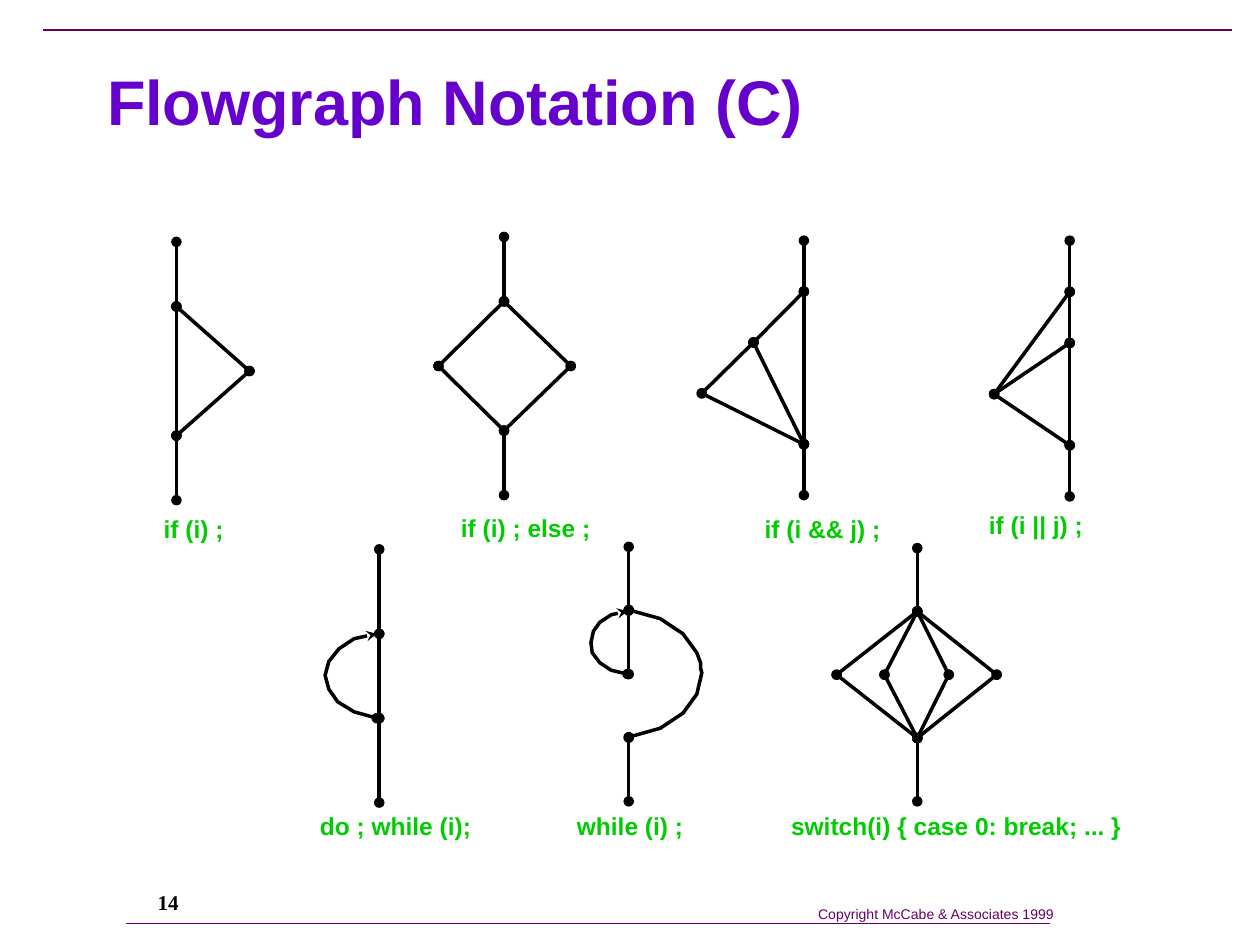
from itertools import pairwise

from lxml.etree import SubElement
from pptx import Presentation
from pptx.dml.color import RGBColor
from pptx.enum.shapes import MSO_CONNECTOR
from pptx.enum.text import MSO_ANCHOR, MSO_AUTO_SIZE, PP_ALIGN
from pptx.oxml.ns import qn
from pptx.util import Pt

PX = 9144  # EMU in one px, 100 px to the inch
PURPLE = RGBColor(0x66, 0x00, 0xCC)
PLUM = RGBColor(0x66, 0x00, 0x66)
GREEN = RGBColor(0x00, 0xCC, 0x00)
BLACK = RGBColor(0x00, 0x00, 0x00)

TITLE = "Flowgraph Notation (C)"
COPYRIGHT = "Copyright McCabe & Associates 1999"
PAGE = "14"
RULES = [(34, 24, 978, 24), (100, 733, 833, 733)]

# Nodes are (offset from the spine, level); each chain joins its nodes in turn.
# Arcs are (style at the start, points), with points in px on the slide.
GRAPHS = [
    dict(label="if (i) ;", box=(120, 403, 68), spine=140, top=192, bottom=397, levels=4,
         nodes=dict(a=(0, 0), b=(0, 1), c=(58, 2), d=(0, 3), e=(0, 4)),
         chains=["abcde", "bd"]),
    dict(label="if (i) ; else ;", box=(356, 402, 123), spine=400, top=188, bottom=393, levels=4,
         nodes=dict(a=(0, 0), b=(0, 1), c=(53, 2), d=(-52, 2), e=(0, 3), f=(0, 4)),
         chains=["abcef", "bde"]),
    dict(label="if (i && j) ;", box=(597, 403, 112), spine=638, top=191, bottom=393, levels=5,
         nodes=dict(a=(0, 0), b=(0, 1), c=(-40, 2), d=(-81, 3), e=(0, 4), f=(0, 5)),
         chains=["abcdef", "ce", "be"]),
    dict(label="if (i || j) ;", box=(775, 400, 95), spine=849, top=191, bottom=394, levels=5,
         nodes=dict(a=(0, 0), b=(0, 1), c=(0, 2), d=(-60, 3), e=(0, 4), f=(0, 5)),
         chains=["abcdef", "bd", "ce"]),
    dict(label="do ; while (i);", box=(244, 639, 140), spine=301, top=436, bottom=637, levels=3,
         nodes=dict(a=(0, 0), b=(0, 1), c=(0, 2), d=(0, 3)),
         chains=["abcd"],
         arcs=[("stealth", [(299, 503), (281, 507), (269, 515), (261, 525), (258, 536),
                            (261, 547), (268, 557), (281, 565), (299, 570)])]),
    dict(label="while (i) ;", box=(448, 639, 105), spine=499, top=434, bottom=636, levels=4,
         nodes=dict(a=(0, 0), b=(0, 1), c=(0, 2), d=(0, 3), e=(0, 4)),
         chains=["abc", "de"],
         arcs=[("stealth", [(498, 485), (485, 488), (476, 494), (471, 501), (469, 510),
                            (470, 518), (476, 526), (485, 532), (498, 535)]),
               ("oval", [(499, 585), (524, 578), (542, 566), (553, 551), (557, 534), (556, 530),
                         (556, 526), (553, 518), (542, 503), (524, 491), (499, 484)])]),
    dict(label="switch(i) { case 0: break; ... }", box=(618, 639, 283), spine=728,
         top=435, bottom=636, levels=4,
         nodes=dict(a=(0, 0), b=(0, 1), c=(-64, 2), d=(-26, 2), e=(25, 2), f=(63, 2),
                    g=(0, 3), h=(0, 4)),
         chains=["ab", "bcg", "bdg", "beg", "bfg", "gh"]),
]


def style_line(shape, color, width, head=None, tail=None):
    shape.line.color.rgb = color
    shape.line.width = Pt(width)
    ln = shape.line._get_or_add_ln()
    for tag, kind in (("a:headEnd", head), ("a:tailEnd", tail)):
        if kind:
            SubElement(ln, qn(tag), type=kind)


def add_line(shapes, start, end, color, width, head=None, tail=None):
    points = [round(v * PX) for v in (*start, *end)]
    c = shapes.add_connector(MSO_CONNECTOR.STRAIGHT, *points)
    style_line(c, color, width, head, tail)
    SubElement(c._element.spPr, qn("a:effectLst"))


def add_arc(shapes, points, head):
    builder = shapes.build_freeform(*points[0], scale=PX)
    builder.add_line_segments(points[1:], close=False)
    arc = builder.convert_to_shape()
    arc.shadow.inherit = False
    arc.fill.background()
    style_line(arc, BLACK, 2, head, "oval")


def set_font(p, name, size, color, bold):
    p.font.name, p.font.size, p.font.bold = name, Pt(size), bold
    p.font.color.rgb = color


def add_text(s, text, x, y, w, h, size, color, font="Arial", bold=True, align=PP_ALIGN.LEFT,
             anchor=MSO_ANCHOR.TOP):
    tf = s.shapes.add_textbox(x * PX, y * PX, w * PX, h * PX).text_frame
    tf.word_wrap = False
    tf.auto_size = MSO_AUTO_SIZE.SHAPE_TO_FIT_TEXT
    tf.vertical_anchor = anchor
    p = tf.paragraphs[0]
    p.text = text
    p.alignment = align
    set_font(p, font, size, color, bold)


def add_graph(s, graph):
    step = (graph["bottom"] - graph["top"]) / graph["levels"]
    at = {name: (graph["spine"] + dx, graph["top"] + level * step)
          for name, (dx, level) in graph["nodes"].items()}
    shapes = s.shapes.add_group_shape().shapes
    for chain in graph["chains"]:
        for a, b in pairwise(chain):
            add_line(shapes, at[a], at[b], BLACK, 2, "oval", "oval")
    for head, points in graph.get("arcs", []):
        add_arc(shapes, points, head)
    x, y, w = graph["box"]
    add_text(s, graph["label"], x, y, w, 33, 14, GREEN)


def main():
    prs = Presentation()
    prs.slide_width, prs.slide_height = 1000 * PX, 750 * PX
    s = prs.slides.add_slide(prs.slide_layouts[5])

    # Title
    title = s.shapes.title
    title.left, title.top, title.width, title.height = 75 * PX, 42 * PX, 900 * PX, 75 * PX
    title.text_frame.vertical_anchor = MSO_ANCHOR.MIDDLE
    p = title.text_frame.paragraphs[0]
    p.text = TITLE
    p.alignment = PP_ALIGN.LEFT
    set_font(p, "Arial", 36, PURPLE, True)

    # Rules, copyright line and page number
    for x1, y1, x2, y2 in RULES:
        add_line(s.shapes, (x1, y1), (x2, y2), PLUM, 1)
    add_text(s, COPYRIGHT, 639, 714, 208, 23, 8, PLUM, bold=False, align=PP_ALIGN.CENTER)
    add_text(s, PAGE, 86, 701, 95, 30, 12, BLACK, "Times New Roman",
             align=PP_ALIGN.CENTER, anchor=MSO_ANCHOR.MIDDLE)

    # Flowgraphs with their labels
    for graph in GRAPHS:
        add_graph(s, graph)

    prs.save("out.pptx")


if __name__ == "__main__":
    main()
